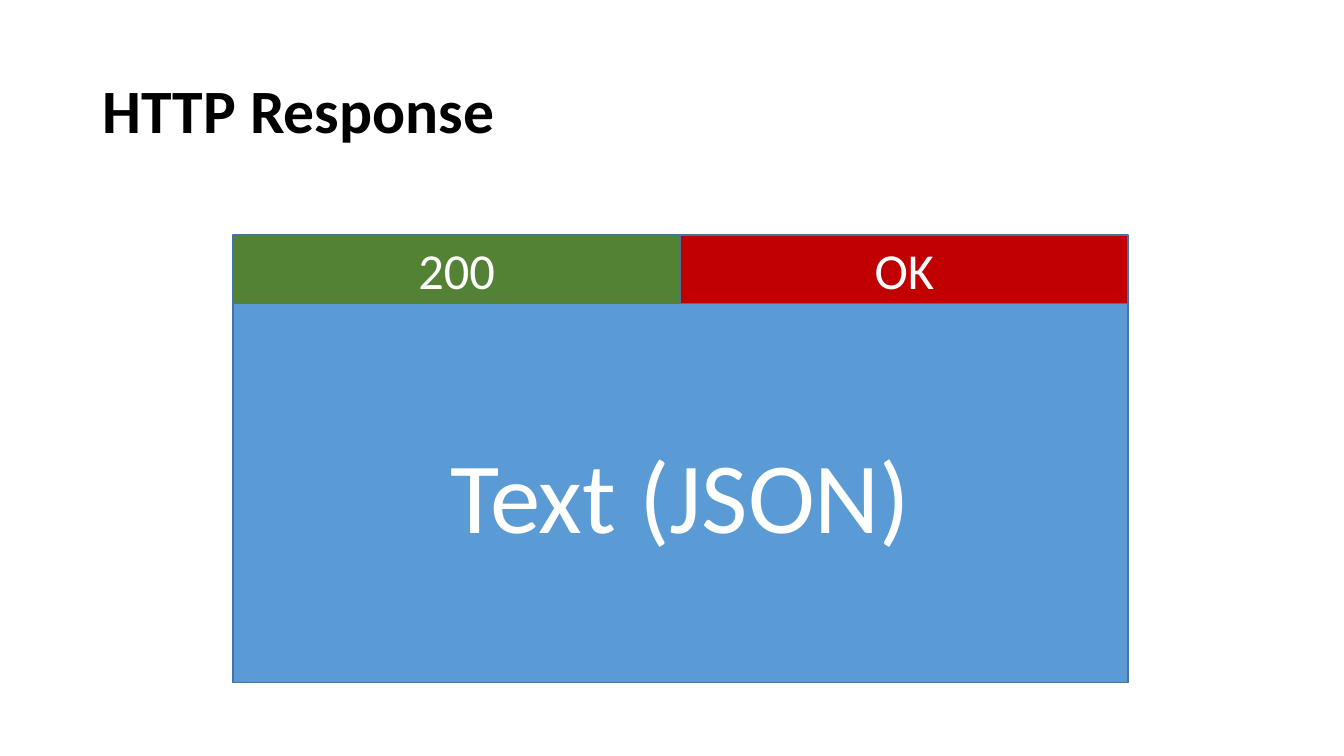
from pptx import Presentation
from pptx.dml.color import RGBColor as RGB
from pptx.enum.shapes import MSO_SHAPE as Shape
from pptx.enum.text import MSO_ANCHOR as Anchor, MSO_AUTO_SIZE as Fit, PP_ALIGN as Align
from pptx.util import Inches, Pt

BLACK = RGB(0x00, 0x00, 0x00)
WHITE = RGB(0xFF, 0xFF, 0xFF)
BLUE = RGB(0x5B, 0x9B, 0xD5)
EDGE = RGB(0x43, 0x73, 0x9E)
GREEN = RGB(0x54, 0x82, 0x35)
RED = RGB(0xC0, 0x00, 0x00)


def place(shape, left, top, width, height):
    """Move a shape to a box given in inches."""
    shape.left, shape.top = Inches(left), Inches(top)
    shape.width, shape.height = Inches(width), Inches(height)


def write(shape, text, size, color, align, bold=False):
    """Put one formatted paragraph in a shape, centred vertically."""
    frame = shape.text_frame
    frame.text = text
    frame.word_wrap = True
    frame.auto_size = Fit.NONE
    frame.vertical_anchor = Anchor.MIDDLE
    para = frame.paragraphs[0]
    para.alignment = align
    font = para.font
    font.name, font.size, font.bold = "Calibri", Pt(size), bold
    font.color.rgb = color


def add_title(slide, text, left, top, width, height):
    """Fill the title placeholder."""
    title = slide.shapes.title
    place(title, left, top, width, height)
    write(title, text, 44, BLACK, Align.LEFT, bold=True)
    title.text_frame.paragraphs[0].line_spacing = 0.9


def add_block(slide, text, size, fill, left, top, width, height):
    """Draw one labelled part of the message."""
    block = slide.shapes.add_shape(
        Shape.RECTANGLE, Inches(left), Inches(top), Inches(width), Inches(height))
    block.shadow.inherit = False
    block.fill.solid()
    block.fill.fore_color.rgb = fill
    block.line.color.rgb = EDGE
    block.line.width = Pt(1)
    write(block, text, size, WHITE, Align.CENTER)


def add_reply(slide, left, top, width, height):
    """Draw the response: a status row above the body."""
    row, half = 0.68, width / 2
    add_block(slide, "Text (JSON)", 72, BLUE, left, top + row, width, height - row)
    for i, (text, fill) in enumerate([("200", GREEN), ("OK", RED)]):
        add_block(slide, text, 36, fill, left + i * half, top, half, row)


def main():
    """Build and save the slide."""
    deck = Presentation()
    deck.slide_width, deck.slide_height = Inches(13.33), Inches(7.5)
    slide = deck.slides.add_slide(deck.slide_layouts[5])
    add_title(slide, "HTTP Response", 0.92, 0.4, 11.5, 1.45)
    add_reply(slide, 2.31, 2.33, 8.88, 4.44)
    deck.save("out.pptx")


main()
